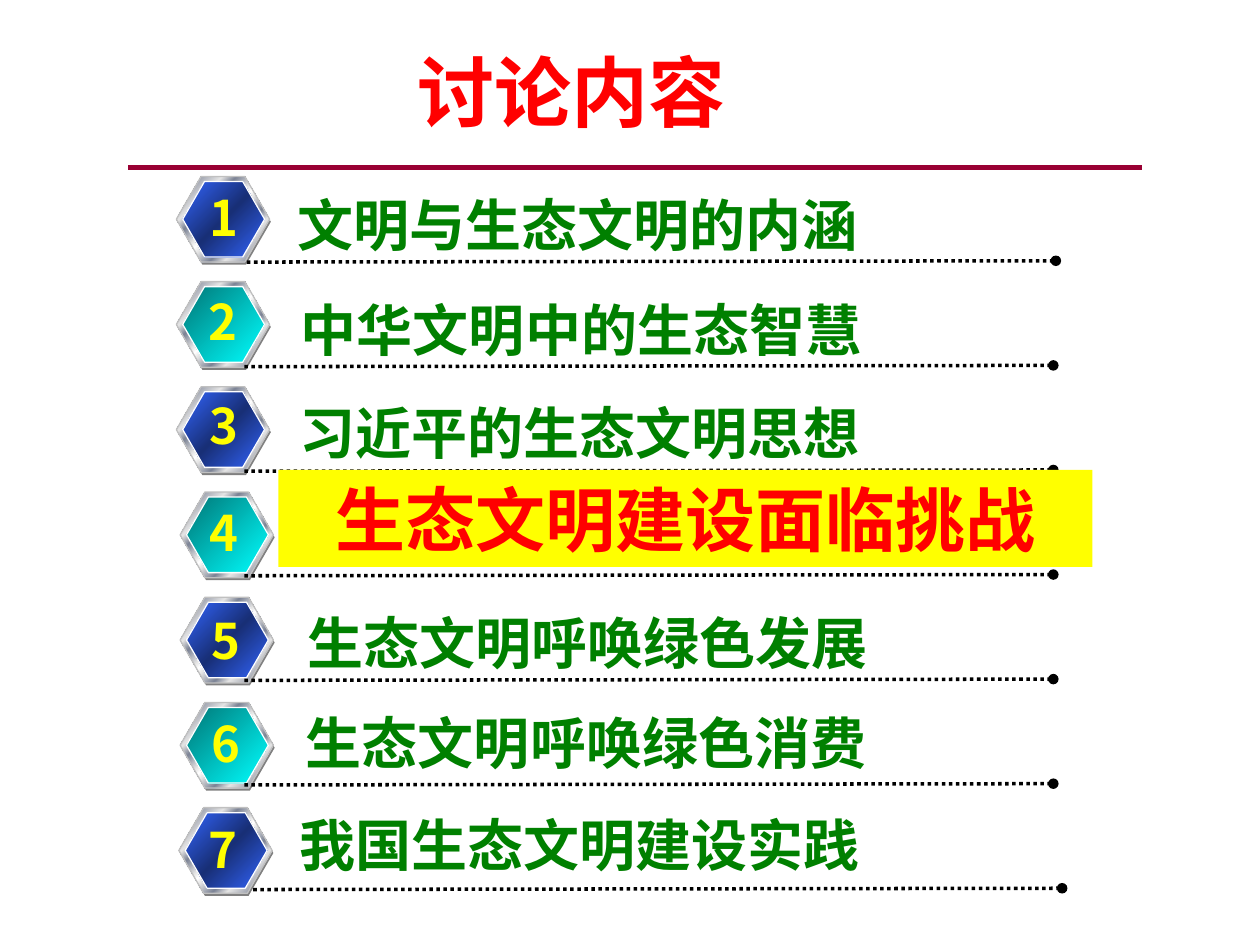
from lxml import etree
from pptx import Presentation, util as u
from pptx.dml.color import RGBColor
from pptx.enum import dml, shapes, text
from pptx.oxml import ns

FONT = "Noto Sans CJK SC"
COLORS = {
    "title": "FF0000", "rule": "990033", "topic": "008000", "number": "FFFF00",
    "band": "FFFF00", "dots": "000000", "shade": "808080", "rim": "C0C0C0", "edge": "FFFFFF",
}
METAL = [(0, "E6E6E6"), (8, "7D8496"), (26, "E6E6E6"), (34, "7D8496"),
         (46, "E6E6E6"), (50, "FFFFFF"), (54, "E6E6E6"), (66, "7D8496"),
         (74, "E6E6E6"), (92, "7D8496"), (100, "E6E6E6")]
BLUE = [(0, "3366FF"), (50, "182F76"), (100, "3366FF")]
TEAL = [(0, "007676"), (100, "00FFFF")]

BADGE_TOP, BADGE_PITCH = 1.4, 0.835
DOTS_TOP, DOTS_PITCH, DOTS_WIDTH = 2.07, 0.83, 6.42
CURRENT = 4
# topic, badge left, number left and top, topic left and top, dots left
TOPICS = [
    ("文明与生态文明的内涵", 1.4, (1.58, 1.44), (2.26, 1.46), 1.96),
    ("中华文明中的生态智慧", 1.4, (1.57, 2.26), (2.29, 2.29), 1.94),
    ("习近平的生态文明思想", 1.4, (1.58, 3.09), (2.28, 3.11), 1.94),
    ("生态文明建设面临挑战", 1.43, (1.58, 3.94), (2.21, 3.73), 1.94),
    ("生态文明呼唤绿色发展", 1.43, (1.59, 4.79), (2.34, 4.78), 1.94),
    ("生态文明呼唤绿色消费", 1.43, (1.59, 5.61), (2.33, 5.57), 1.94),
    ("我国生态文明建设实践", 1.42, (1.57, 6.45), (2.28, 6.38), 2.01),
]


def rgb(name):
    return RGBColor.from_string(COLORS[name])


def inches(*lengths):
    return [u.Inches(length) for length in lengths]


def write(holder, words, size, color, align, anchor=text.MSO_ANCHOR.MIDDLE, wrap=True):
    frame = holder.text_frame
    frame.text = words
    frame.word_wrap = wrap
    frame.auto_size = text.MSO_AUTO_SIZE.NONE
    frame.vertical_anchor = anchor
    paragraph = frame.paragraphs[0]
    paragraph.alignment = align
    for run in paragraph.runs:
        run.font.size, run.font.bold, run.font.name = u.Pt(size), True, FONT
        run.font.color.rgb = rgb(color)
        east_asian = etree.SubElement(run.font._element, ns.qn("a:ea"))
        east_asian.set("typeface", FONT)


def add_label(slide, words, box, size, color, align, wrap=True):
    label = slide.shapes.add_textbox(*inches(*box))
    write(label, words, size, color, align, wrap=wrap)


def add_line(slide, start, end, color, width, dotted=False):
    line = slide.shapes.add_connector(
        shapes.MSO_CONNECTOR.STRAIGHT, *inches(*start, *end))
    line.line.color.rgb = rgb(color)
    line.line.width = u.Pt(width)
    if dotted:
        line.line.dash_style = dml.MSO_LINE.ROUND_DOT
        etree.SubElement(line.line._get_or_add_ln(), ns.qn("a:tailEnd")).set("type", "oval")
    etree.SubElement(line._element.spPr, ns.qn("a:effectLst"))


def fill_gradient(shape, stops):
    shape.fill.gradient()
    shape.fill.gradient_angle = 315
    stop_list = shape._element.spPr.find(".//" + ns.qn("a:gsLst"))
    for old_stop in list(stop_list):
        stop_list.remove(old_stop)
    for position, color in stops:
        stop = etree.SubElement(stop_list, ns.qn("a:gs"), pos=str(position * 1000))
        etree.SubElement(stop, ns.qn("a:srgbClr"), val=color)


def add_hexagon(badge, box, outline=None, stops=None):
    hexagon = badge.shapes.add_shape(shapes.MSO_SHAPE.HEXAGON, *inches(*box))
    hexagon.adjustments[0], hexagon.adjustments[1] = 0.289, 1.155
    hexagon.shadow.inherit = False
    if stops:
        fill_gradient(hexagon, stops)
    else:
        hexagon.fill.solid()
        hexagon.fill.fore_color.rgb = rgb("shade")
    if outline:
        hexagon.line.color.rgb = rgb(outline)
        hexagon.line.width = u.Pt(0.75)
    else:
        hexagon.line.fill.background()


def add_badge(slide, left, top, face):
    badge = slide.shapes.add_group_shape()
    add_hexagon(badge, (left + 0.01, top + 0.02, 0.74, 0.68))
    add_hexagon(badge, (left, top, 0.74, 0.68), "rim", METAL)
    add_hexagon(badge, (left + 0.05, top + 0.04, 0.65, 0.6), "edge", face)


def add_highlight(slide, words, corner):
    band = slide.shapes.add_shape(
        shapes.MSO_SHAPE.RECTANGLE, *inches(*corner, 6.46, 0.77))
    band.shadow.inherit = False
    band.fill.solid()
    band.fill.fore_color.rgb = rgb("band")
    band.line.fill.background()
    write(band, words, 40, "title", text.PP_ALIGN.CENTER)


def add_title(slide):
    title = slide.shapes.title
    title.left, title.top, title.width, title.height = inches(0.11, 0.39, 9, 1.25)
    write(title, "讨论内容 ", 44, "title", text.PP_ALIGN.CENTER, text.MSO_ANCHOR.TOP)
    title.text_frame.paragraphs[0].line_spacing = 0.9


def main():
    deck = Presentation()
    deck.slide_width, deck.slide_height = inches(10, 7.5)
    slide = deck.slides.add_slide(deck.slide_layouts[5])
    add_line(slide, (1.02, 1.33), (9.06, 1.33), "rule", 3)
    add_title(slide)
    for row, (topic, badge_left, number_at, topic_at, dots_left) in enumerate(TOPICS):
        number = row + 1
        add_badge(slide, badge_left, BADGE_TOP + row * BADGE_PITCH, TEAL if row % 2 else BLUE)
        add_label(slide, str(number), (*number_at, 0.4, 0.57), 28, "number",
                  text.PP_ALIGN.CENTER, wrap=False)
        dots_top = DOTS_TOP + row * DOTS_PITCH
        add_line(slide, (dots_left, dots_top + 0.01), (dots_left + DOTS_WIDTH, dots_top),
                 "dots", 2, dotted=True)
        if number == CURRENT:
            add_highlight(slide, topic, topic_at)
        else:
            add_label(slide, topic, (*topic_at, 6.11 if row == 0 else 5.08, 0.64), 32,
                      "topic", text.PP_ALIGN.LEFT)
    deck.save("out.pptx")


if __name__ == "__main__":
    main()
